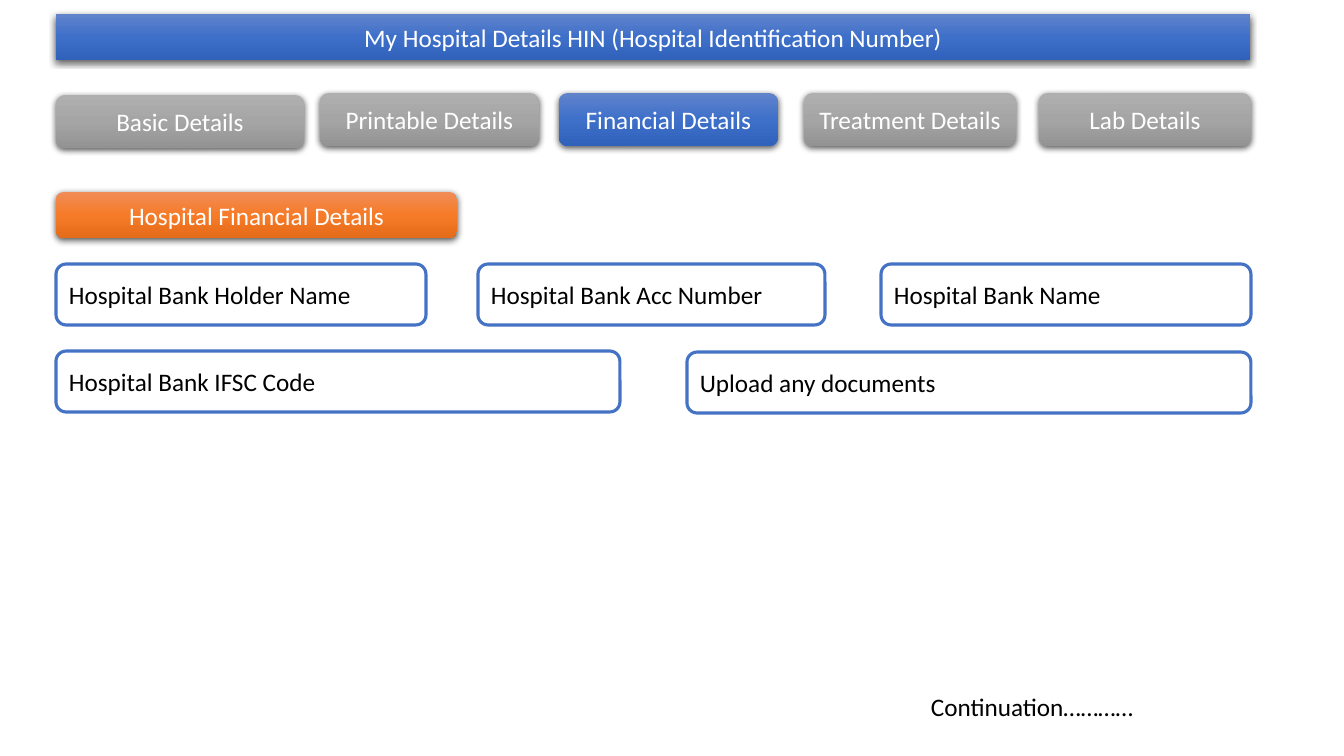
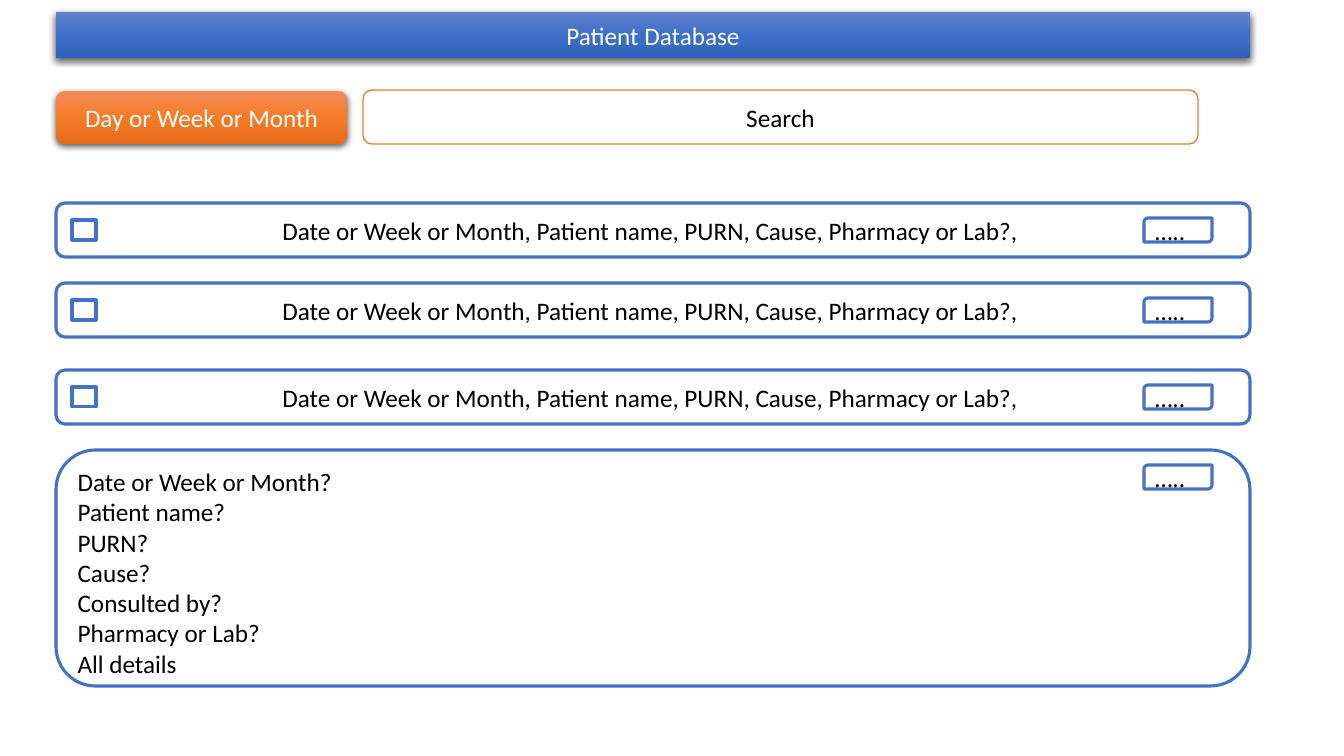
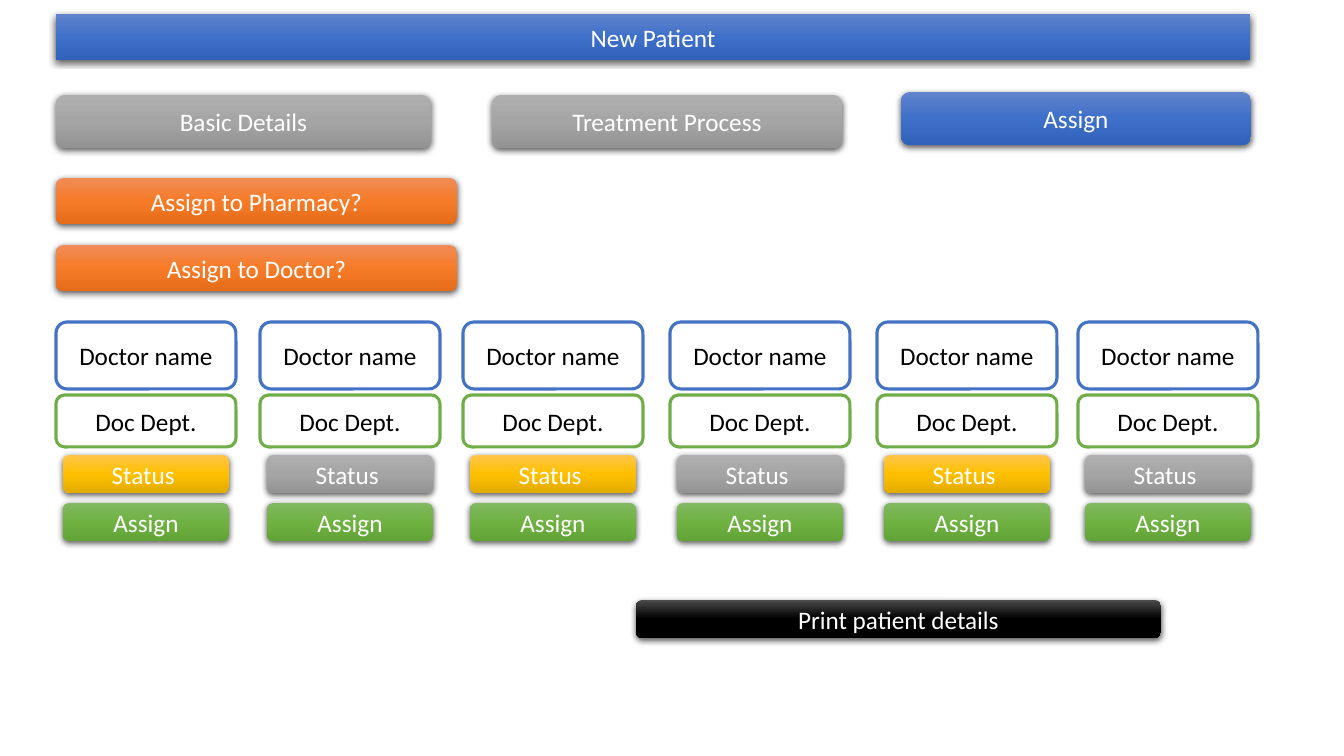
from lxml import etree
from pptx import Presentation
from pptx.dml.color import RGBColor
from pptx.enum.shapes import MSO_SHAPE
from pptx.enum.text import MSO_ANCHOR, MSO_AUTO_SIZE, PP_ALIGN
from pptx.oxml.ns import qn
from pptx.util import Pt

ROUND, DIAGONAL, SQUARE = MSO_SHAPE.ROUNDED_RECTANGLE, MSO_SHAPE.ROUND_2_DIAG_RECTANGLE, MSO_SHAPE.RECTANGLE
LEFT, CENTER = PP_ALIGN.LEFT, PP_ALIGN.CENTER
TOP, MIDDLE = MSO_ANCHOR.TOP, MSO_ANCHOR.MIDDLE

WHITE, BLACK = RGBColor(0xFF, 0xFF, 0xFF), RGBColor(0, 0, 0)
BLUE_LINE = RGBColor(0x44, 0x72, 0xC4)
ORANGE_LINE = RGBColor(0xED, 0x7D, 0x31)
GREEN_LINE = RGBColor(0x70, 0xAD, 0x47)
BLUE = RGBColor(0x61, 0x83, 0xCB), RGBColor(0x3E, 0x70, 0xCA), RGBColor(0x30, 0x62, 0xBB)
ORANGE = RGBColor(0xF1, 0x8C, 0x57), RGBColor(0xF6, 0x7B, 0x28), RGBColor(0xE5, 0x6C, 0x19)
GRAY = RGBColor(0xAF, 0xAF, 0xAF), RGBColor(0xA5, 0xA5, 0xA5), RGBColor(0x93, 0x93, 0x93)
YELLOW = RGBColor(0xFF, 0xC6, 0x4B), RGBColor(0xFF, 0xC0, 0), RGBColor(0xE3, 0xAB, 0)
GREEN = RGBColor(0x81, 0xB8, 0x61), RGBColor(0x6F, 0xB2, 0x42), RGBColor(0x62, 0xA3, 0x36)
DARK = RGBColor(0x4B, 0x4B, 0x4B), BLACK, BLACK

FONT, SIZE = "Calibri", Pt(18)
MARGIN, FULL = 56, 1194
EMU_PER_PX = 914400 / 100.8

HOSPITAL_TABS = [
    ("Basic Details", (MARGIN, 95, 248, 53), GRAY),
    ("Printable Details", (320, 93, 219, 53), GRAY),
    ("Financial Details", (559, 93, 219, 53), BLUE),
    ("Treatment Details", (804, 93, 212, 53), GRAY),
    ("Lab Details", (1039, 93, 212, 53), GRAY),
]
BANK_FIELDS = [
    ("Hospital Bank Holder Name", (MARGIN, 264, 370, 61)),
    ("Hospital Bank Acc Number ", (478, 264, 347, 61)),
    ("Hospital Bank Name", (881, 264, 370, 61)),
    ("Hospital Bank IFSC Code", (MARGIN, 351, 564, 61)),
    ("Upload any documents", (687, 352, 564, 61)),
]
RECORD = "Date or Week or Month, Patient name, PURN, Cause, Pharmacy or Lab?, "
RECORD_TOPS = [203, 283, 370]
DETAILS_TOP = 450
DETAILS = ["Date or Week or Month?", "Patient name?", "PURN?", "Cause?",
           "Consulted by?", "Pharmacy or Lab? ", "All details"]
PATIENT_TABS = [
    ("Basic Details", (MARGIN, 95, 375, 53), GRAY),
    ("Treatment Process", (492, 95, 350, 53), GRAY),
    ("Assign", (901, 92, 350, 53), BLUE),
]
ASSIGN_TO = [("Assign to Pharmacy?", 178), ("Assign to Doctor?", 245)]
DOCTORS = [(56, YELLOW), (260, GRAY), (463, YELLOW), (670, GRAY), (877, YELLOW), (1078, GRAY)]


def emu(*pixels):
    return [round(n * EMU_PER_PX) for n in pixels]


def write(s, lines, color, align, anchor=MIDDLE):
    tf = s.text_frame
    tf.word_wrap = True
    tf.auto_size = MSO_AUTO_SIZE.NONE
    tf.vertical_anchor = anchor
    for i, line in enumerate(lines):
        p = tf.add_paragraph() if i else tf.paragraphs[0]
        p.alignment = align
        p.space_before = Pt(0)
        r = p.add_run()
        r.text = line
        r.font.name, r.font.size, r.font.color.rgb = FONT, SIZE, color


def raise_up(s, stops):
    s.fill.gradient()
    s.fill.gradient_angle = 270
    stop_list = s.element.spPr.find(".//" + qn("a:gsLst"))
    for old in list(stop_list):
        stop_list.remove(old)
    for pos, color in zip((0, 50000, 100000), stops):
        stop = etree.SubElement(stop_list, qn("a:gs"), pos=str(pos))
        etree.SubElement(stop, qn("a:srgbClr"), val=str(color))
    s.line.fill.background()
    s.shadow.inherit = False
    effects = s.element.spPr.find(qn("a:effectLst"))
    shadow = etree.SubElement(effects, qn("a:outerShdw"), blurRad="57150", dist="19050",
                              dir="5400000", algn="ctr", rotWithShape="0")
    tint = etree.SubElement(shadow, qn("a:srgbClr"), val=str(BLACK))
    etree.SubElement(tint, qn("a:alpha"), val="63000")


def outline(s, color, width=2.25):
    s.shadow.inherit = False
    s.fill.solid()
    s.fill.fore_color.rgb = WHITE
    s.line.color.rgb = color
    s.line.width = Pt(width)


def button(slide, text, box, stops):
    s = slide.shapes.add_shape(ROUND, *emu(*box))
    raise_up(s, stops)
    write(s, [text], WHITE, CENTER)


def field(slide, text, box, align=LEFT, color=BLUE_LINE, width=2.25, kind=ROUND):
    s = slide.shapes.add_shape(kind, *emu(*box))
    outline(s, color, width)
    if text:
        write(s, [text], BLACK, align)


def place_rounded(s, box):
    s.left, s.top, s.width, s.height = emu(*box)
    geometry = etree.SubElement(s.element.spPr, qn("a:prstGeom"), prst="roundRect")
    etree.SubElement(geometry, qn("a:avLst"))


def new_slide(layout, title, top=14):
    slide = prs.slides.add_slide(prs.slide_layouts[layout])
    s = slide.shapes.title
    place_rounded(s, (MARGIN, top, FULL, 46))
    raise_up(s, BLUE)
    write(s, [title], WHITE, CENTER)
    return slide


def more_button(slide, row_top):
    field(slide, "…..", (1144, row_top + 15, 68, 24), kind=DIAGONAL)


def hospital_slide():
    slide = new_slide(5, "My Hospital Details HIN (Hospital Identification Number)")
    for tab in HOSPITAL_TABS:
        button(slide, *tab)
    button(slide, "Hospital Financial Details", (MARGIN, 192, 401, 46), ORANGE)
    for text, box in BANK_FIELDS:
        field(slide, text, box)
    note = slide.shapes.add_textbox(*emu(921, 686, 330, 40))
    write(note, ["Continuation…………"], BLACK, LEFT, TOP)


def database_slide():
    slide = new_slide(1, "Patient Database", 12)
    button(slide, "Day or Week or Month", (MARGIN, 91, 291, 53), ORANGE)
    field(slide, "Search", (363, 90, 835, 54), CENTER, ORANGE_LINE, 1)
    for top in RECORD_TOPS:
        field(slide, RECORD, (MARGIN, top, FULL, 54), CENTER)
        field(slide, "", (72, top + 17, 24, 20), kind=SQUARE)
        more_button(slide, top)
    details = slide.placeholders[1]
    place_rounded(details, (MARGIN, DETAILS_TOP, FULL, 236))
    outline(details, BLUE_LINE)
    write(details, DETAILS, BLACK, LEFT, TOP)
    for p in details.text_frame.paragraphs:
        props = p._p.get_or_add_pPr()
        props.set("marL", "0")
        props.set("indent", "0")
        etree.SubElement(props, qn("a:buNone"))
    more_button(slide, DETAILS_TOP)


def patient_slide():
    slide = new_slide(5, "New Patient")
    for tab in PATIENT_TABS:
        button(slide, *tab)
    for text, top in ASSIGN_TO:
        button(slide, text, (MARGIN, top, 401, 46), ORANGE)
    for x, status in DOCTORS:
        field(slide, "Doctor name", (x, 322, 180, 67), CENTER)
        field(slide, "Doc Dept.", (x, 395, 180, 52), CENTER, GREEN_LINE)
        button(slide, "Status ", (x + 7, 455, 166, 38), status)
        button(slide, "Assign", (x + 7, 503, 166, 38), GREEN)
    button(slide, "Print patient details", (636, 600, 525, 38), DARK)


prs = Presentation()
prs.slide_width, prs.slide_height = emu(1344, 756)
hospital_slide()
database_slide()
patient_slide()
prs.save("out.pptx")
